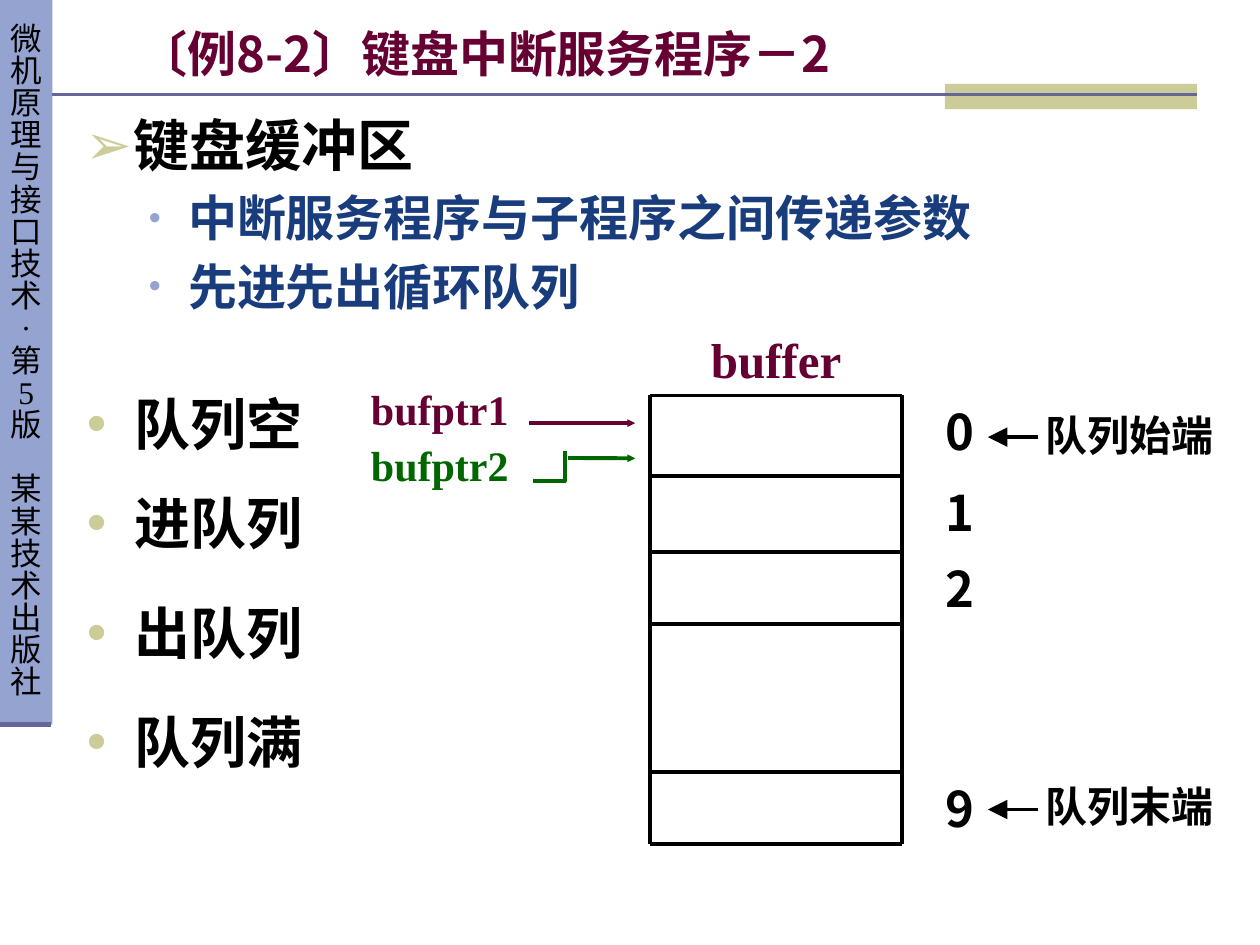
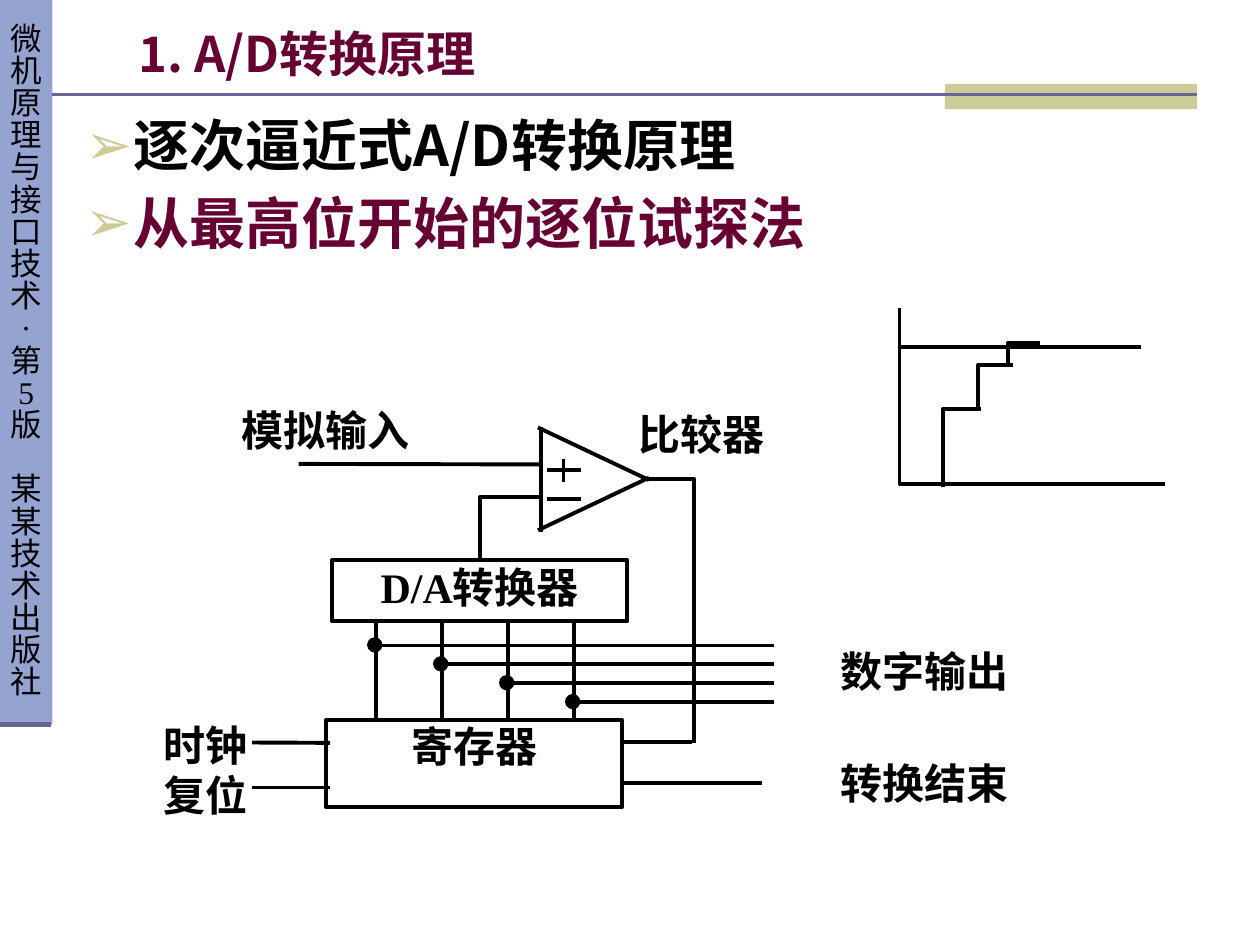
import dataclasses
import typing
import pptx
import pptx.dml.color
import pptx.enum.shapes
import pptx.enum.text
import pptx.oxml.ns
import pptx.util
from lxml import etree

Pt = pptx.util.Pt
Kind = pptx.enum.shapes.MSO_SHAPE
Align = pptx.enum.text.PP_ALIGN
Anchor = pptx.enum.text.MSO_ANCHOR
Point = tuple[float, float]


@dataclasses.dataclass(frozen=True)
class Theme:
    """Colours, fonts, type sizes and line widths."""
    black: str = "000000"
    wine: str = "660033"
    green: str = "006600"
    navy: str = "193C7D"
    blue: str = "95A3D1"
    sand: str = "CCCC99"
    slate: str = "666699"
    sans: str = "Noto Sans CJK SC"
    serif: str = "Times New Roman"
    side: int = 18
    note: int = 24
    head: int = 28
    main: int = 32
    wire: float = 2.25
    lead: float = 1.2


T = Theme()


@dataclasses.dataclass(frozen=True)
class Box:
    left: float
    top: float
    width: float
    height: float


@dataclasses.dataclass(frozen=True)
class Style:
    size: int = T.note
    font: str = T.serif
    color: str = T.black
    bold: bool = True
    align: typing.Any = Align.CENTER
    lead: float = T.lead  # line height in ems, 0 for the font's own


@dataclasses.dataclass(frozen=True)
class Bullet:
    mark: str
    color: str
    left: float
    hang: float
    scale: int = 100


@dataclasses.dataclass(frozen=True)
class Item:
    text: str
    style: Style
    bullet: Bullet
    level: int = 0
    gap: float = 5.6


@dataclasses.dataclass(frozen=True)
class Label:
    text: str
    box: Box
    style: Style = Style()
    inset: Point = (0.72, 0.72)


@dataclasses.dataclass(frozen=True)
class Wire:
    start: Point
    end: Point
    color: str = T.black
    width: float = T.wire
    arrow: str = ""  # arrowhead size: sm, med or lg


PLAIN = (7.2, 3.6)
TITLE = Style(T.head, T.sans, T.wine, align=Align.LEFT)
MAIN = Style(T.main, T.sans, align=Align.JUSTIFY)
SUB = Style(T.head, T.sans, T.navy, align=Align.JUSTIFY)
KEY = Style(T.main, T.sans, T.wine, align=Align.JUSTIFY)
DIGIT = Style(T.head, T.sans)
ARROW = Bullet("➢", T.sand, 27, 27)
SMALL = Bullet("•", T.blue, 58.5, 22.5, 70)
ROUND = Bullet("•", T.sand, 27, 27)


# Basic tools
def apply(thing: typing.Any, values: dict) -> None:
    for name, value in values.items():
        setattr(thing, name, value)


def paint(color: str) -> typing.Any:
    return pptx.dml.color.RGBColor.from_string(color)


def node(owner: typing.Any, tag: str, **values: str) -> typing.Any:
    return etree.SubElement(owner, pptx.oxml.ns.qn(tag), values)


def place(box: Box) -> list:
    return [Pt(v) for v in (box.left, box.top, box.width, box.height)]


def setup(frame: typing.Any, inset: Point, anchor: typing.Any = Anchor.TOP) -> None:
    apply(frame, dict(
        word_wrap=True, auto_size=pptx.enum.text.MSO_AUTO_SIZE.NONE,
        vertical_anchor=anchor,
        margin_left=Pt(inset[0]), margin_right=Pt(inset[0]),
        margin_top=Pt(inset[1]), margin_bottom=Pt(inset[1])))


def write(para: typing.Any, text: str, style: Style, gap: float = 0,
          bullet: Bullet | None = None) -> None:
    values = dict(alignment=style.align, space_before=Pt(gap))
    if style.lead:
        values["line_spacing"] = Pt(round(style.size * style.lead, 1))
    apply(para, values)
    if bullet:
        props = para._p.get_or_add_pPr()
        props.set("marL", str(Pt(bullet.left)))
        props.set("indent", str(-Pt(bullet.hang)))
        node(node(props, "a:buClr"), "a:srgbClr", val=bullet.color)
        node(props, "a:buSzPct", val=str(bullet.scale * 1000))
        node(props, "a:buFont", typeface="Arial")
        node(props, "a:buChar", char=bullet.mark)
    run = para.add_run()
    run.text = text
    apply(run.font, dict(size=Pt(style.size), name=style.font, bold=style.bold))
    run.font.color.rgb = paint(style.color)
    node(run._r.get_or_add_rPr(), "a:ea", typeface=T.sans)


def fill(frame: typing.Any, text: str, style: Style) -> None:
    for i, line in enumerate(text.split("\n")):
        write(frame.add_paragraph() if i else frame.paragraphs[0], line, style)


def label(slide: typing.Any, item: Label, bullet: Bullet | None = None) -> None:
    frame = slide.shapes.add_textbox(*place(item.box)).text_frame
    setup(frame, item.inset)
    if bullet:
        write(frame.paragraphs[0], item.text, item.style, bullet=bullet)
    else:
        fill(frame, item.text, item.style)


def wire(slide: typing.Any, item: Wire) -> None:
    ends = [Pt(v) for v in (*item.start, *item.end)]
    line = slide.shapes.add_connector(pptx.enum.shapes.MSO_CONNECTOR.STRAIGHT, *ends)
    line.line.color.rgb = paint(item.color)
    line.line.width = Pt(item.width)
    if item.arrow:
        node(line.line._get_or_add_ln(), "a:tailEnd", type="triangle",
             w=item.arrow, len=item.arrow)
    node(line._element.spPr, "a:effectLst")


def shape(slide: typing.Any, kind: typing.Any, box: Box,
          color: str = "", edge: str = "") -> typing.Any:
    form = slide.shapes.add_shape(kind, *place(box))
    finish(form, color, edge)
    return form


def finish(form: typing.Any, color: str, edge: str) -> None:
    form.shadow.inherit = False
    if color:
        form.fill.solid()
        form.fill.fore_color.rgb = paint(color)
    else:
        form.fill.background()
    if edge:
        form.line.color.rgb = paint(edge)
        form.line.width = Pt(T.wire)
    else:
        form.line.fill.background()


def bend(slide: typing.Any, points: list[Point], color: str = T.black) -> None:
    first, *rest = [(Pt(x), Pt(y)) for x, y in points]
    path = slide.shapes.build_freeform(*first)
    path.add_line_segments(rest, close=False)
    finish(path.convert_to_shape(), "", color)


# Shared frame: side band, title rule, title and list
def start(deck: typing.Any, title: str, items: list[Item], height: float) -> typing.Any:
    slide = deck.slides.add_slide(deck.slide_layouts[1])
    band = shape(slide, Kind.RECTANGLE, Box(0, 0, 30, 414), T.blue).text_frame
    setup(band, PLAIN, Anchor.MIDDLE)
    band.word_wrap = False
    side = Style(T.side, bold=False, lead=1.02)
    parts = ("微机原理与接口技术·第5版", "某某技术出版社")
    for part in parts:
        for i, sign in enumerate(part):
            new = i or part != parts[0]
            gap = 18.4 if new and not i else 0
            write(band.add_paragraph() if new else band.paragraphs[0], sign, side, gap)
    shape(slide, Kind.RECTANGLE, Box(540, 48, 144, 14.4), T.sand)
    wire(slide, Wire((30, 54), (684, 54), T.slate, 1.5))
    wire(slide, Wire((0, 414), (29, 414), T.slate, 3))

    head, body = slide.shapes.title, slide.placeholders[1]
    boxes = (Box(72, 11.4, 612, 38.2), Box(41.8, 59.8, 654, height))
    for holder, box in zip((head, body), boxes):
        apply(holder, dict(zip(("left", "top", "width", "height"), place(box))))
    setup(head.text_frame, PLAIN, Anchor.MIDDLE)
    fill(head.text_frame, title, TITLE)
    setup(body.text_frame, PLAIN)
    for i, item in enumerate(items):
        para = body.text_frame.add_paragraph() if i else body.text_frame.paragraphs[0]
        para.level = item.level
        write(para, item.text, item.style, item.gap if i else 0, item.bullet)
    return slide


# Slide 1: keyboard buffer as a ring queue
def queue(deck: typing.Any) -> None:
    slide = start(deck, "〔例8-2〕键盘中断服务程序－2", [
        Item("键盘缓冲区", MAIN, ARROW),
        Item("中断服务程序与子程序之间传递参数", SUB, SMALL, 1),
        Item("先进先出循环队列", SUB, SMALL, 1)], 156)
    left, right = 371.5, 515.5
    rows = [226, 272, 315.4, 356.5, 441.3, 482.4]

    # Buffer cells and their numbers
    label(slide, Label("buffer", Box(left, 185, 144, 41),
                       Style(T.head, color=T.wine, lead=0), PLAIN))
    for y in rows:
        wire(slide, Wire((left, y), (right, y)))
    for x in (left, right):
        wire(slide, Wire((x, rows[0]), (x, rows[-1])))
    for sign, y in zip("0129", rows[:3] + rows[4:5]):
        label(slide, Label(sign, Box(right, y, 65.5, 41), DIGIT, PLAIN))

    # Pointers
    for text, y, color in (("bufptr1", 218.2, T.wine), ("bufptr2", 250.6, T.green)):
        label(slide, Label(text, Box(184.3, y, 134, 50), Style(color=color, lead=0)))
    wire(slide, Wire((302.4, 241.8), (363, 241.8), T.wine, arrow="sm"))
    wire(slide, Wire((324.7, 261.7), (363, 261.9), T.green, arrow="sm"))
    bend(slide, [(304.6, 275), (322.6, 275), (322.6, 257.8)], T.green)

    # Queue ends
    for text, top, y in (("队列始端", 233, 249.8), ("队列末端", 445, 462.6)):
        label(slide, Label(text, Box(578.2, top, 134, 38)))
        wire(slide, Wire((593.3, y), (564.5, y), arrow="lg"))

    # Queue states
    states = {"队列空": 218.9, "进队列": 275.8, "出队列": 338.2, "队列满": 400.5}
    for text, y in states.items():
        label(slide, Label(text, Box(42.5, y, 167, 51), MAIN, PLAIN), ROUND)


# Slide 2: converter circuit and its step chart
def convert(deck: typing.Any) -> None:
    slide = start(deck, "1. A/D转换原理", [
        Item("逐次逼近式A/D转换原理", MAIN, ARROW),
        Item("从最高位开始的逐位试探法", KEY, ARROW)], 444)

    # Bent lines: axes, three steps, feedback and output
    for points in (
            [(666, 276.5), (514, 276.5), (514, 175.8)],
            [(539, 278.4), (539, 233.5), (560.3, 233.5)],
            [(558.9, 233.5), (558.9, 208.6), (578.9, 208.6)],
            [(576, 209.3), (576, 195.9), (594, 195.9)],
            [(274.3, 319.7), (274.3, 283.9), (308.9, 283.9)],
            [(396.7, 424.6), (396.7, 273.6), (366.5, 273.6)]):
        bend(slide, points)

    # Labels
    for text, x, y, width, height in (
            ("时钟\n复位", 64, 410.4, 106.6, 58),
            ("数字输出", 453, 368.3, 150.5, 32),
            ("转换结束", 453, 432.3, 150.5, 32),
            ("比较器", 325.4, 232.8, 150.5, 32),
            ("模拟输入", 110.9, 230.2, 150.5, 32)):
        label(slide, Label(text, Box(x, y, width, height)))

    # Register and converter
    for text, box in (("寄存器", Box(186.5, 411.2, 168.9, 50.2)),
                      ("D/A转换器", Box(189.8, 320.2, 168.7, 34.8))):
        frame = shape(slide, Kind.RECTANGLE, box, edge=T.black).text_frame
        setup(frame, (0.72, 0.72))
        fill(frame, text, Style())

    # Straight lines: chart level, input, comparator and its signs, control
    for ends in (
            ((652.3, 198.5), (514.8, 198.5)),
            ((170.6, 265.1), (308.9, 265.4)),
            ((307.4, 244.3), (370.8, 274.3)),
            ((307.4, 303), (370.8, 273)),
            ((308.9, 244), (308.9, 303.8)),
            ((332, 285), (312.3, 285)),
            ((332, 268.6), (312.3, 268.6)),
            ((322, 262.3), (322, 275.3)),
            ((144, 450), (188.6, 450)),
            ((144, 424.3), (188.6, 424.5)),
            ((355.7, 447.7), (435.6, 447.7)),
            ((395.3, 424.1), (355.7, 424.1))):
        wire(slide, Wire(*ends))

    # Four data bits with their taps
    for i in range(4):
        x, y = 214.8 + 37.7 * i, 368.9 + 10.8 * i
        wire(slide, Wire((x, 355.7), (x, 412.6)))
        wire(slide, Wire((x, y), (442.1, y)))
        shape(slide, Kind.OVAL, Box(x - 3.9, y - 3.6, 6.5, 6.5), T.black, T.black)


def main() -> None:
    deck = pptx.Presentation()
    apply(deck, dict(slide_width=Pt(720), slide_height=Pt(540)))
    queue(deck)
    convert(deck)
    deck.save("out.pptx")


if __name__ == "__main__":
    main()
